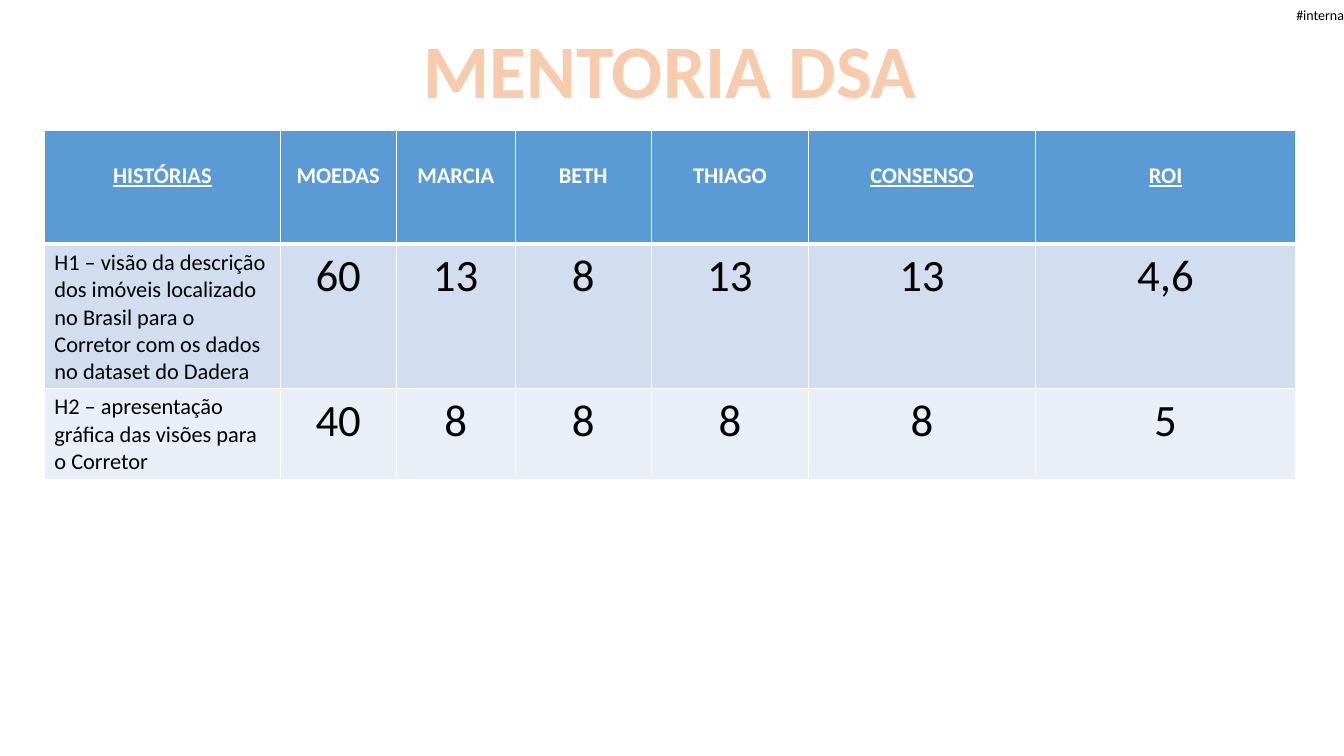
from pptx import Presentation, util as u
from pptx.dml.color import RGBColor
from pptx.enum import text
from pptx.oxml import parse_xml
from pptx.oxml.ns import nsdecls

LEFT, MID, RIGHT = text.PP_ALIGN.LEFT, text.PP_ALIGN.CENTER, text.PP_ALIGN.RIGHT


def px(n):
    return u.Emu(n * 9144)


def color(code):
    return RGBColor.from_string(code)


def line(tag, code, width):
    return parse_xml(
        f'<a:{tag} {nsdecls("a")} w="{int(u.Pt(width))}"><a:solidFill>'
        f'<a:srgbClr val="{code}"/></a:solidFill></a:{tag}>')


def form(item, **vals):
    for key, val in vals.items():
        setattr(item, key, val)


class Deck:
    font = "Calibri"
    head = "5B9BD5"
    bands = ("D2DEEF", "EAEFF7")
    rule = "FFFFFF"

    def __init__(self, wide, high):
        self.prs = Presentation()
        form(self.prs, slide_width=px(wide), slide_height=px(high))
        self.slide = self.prs.slides.add_slide(self.prs.slide_layouts[5])

    def words(self, frame, words, size, code, align, space=None, **style):
        par = frame.paragraphs[0]
        par.alignment = align
        if space:
            par.line_spacing = space
        run = par.add_run()
        run.text = words
        form(run.font, **{"name": self.font, "size": u.Pt(size),
                          "bold": False, **style})
        run.font.color.rgb = color(code)
        return run

    def title(self, box, words, size, code, edge, width):
        shape = self.slide.shapes.title
        left, top, wide, high = map(px, box)
        form(shape, left=left, top=top, width=wide, height=high)
        form(shape.text_frame, word_wrap=False,
             vertical_anchor=text.MSO_ANCHOR.TOP,
             auto_size=text.MSO_AUTO_SIZE.SHAPE_TO_FIT_TEXT)
        run = self.words(shape.text_frame, words, size, code, MID, bold=True)
        run._r.get_or_add_rPr().insert(0, line("ln", edge, width))

    def label(self, box, words, size, code, align):
        frame = self.slide.shapes.add_textbox(*map(px, box)).text_frame
        form(frame, word_wrap=True, vertical_anchor=text.MSO_ANCHOR.MIDDLE,
             margin_left=0, margin_right=0, margin_top=0, margin_bottom=0)
        self.words(frame, words, size, code, align)

    def cell(self, cell, fill, over, below):
        cell.fill.solid()
        cell.fill.fore_color.rgb = color(fill)
        props = cell._tc.get_or_add_tcPr()
        sides = {"lnL": 1, "lnR": 1, "lnT": over, "lnB": below}
        for spot, (tag, width) in enumerate(sides.items()):
            props.insert(spot, line(tag, self.rule, width))

    def table(self, left, top, cols, rows, names, under, data):
        grid = self.slide.shapes.add_table(
            len(rows), len(cols),
            *map(px, (left, top, sum(cols), sum(rows)))).table
        for col, wide in zip(grid.columns, cols):
            col.width = px(wide)
        for row, high in zip(grid.rows, rows):
            row.height = px(high)
        for c, name in enumerate(names):
            cell = grid.cell(0, c)
            self.cell(cell, self.head, 1, 3)
            self.words(cell.text_frame, name, 16, "FFFFFF", MID, 2.0,
                       bold=True, underline=name in under)
        for r, vals in enumerate(data, 1):
            for c, val in enumerate(vals):
                cell = grid.cell(r, c)
                self.cell(cell, self.bands[(r - 1) % 2], 3 if r == 1 else 1, 1)
                size, align = (32, MID) if c else (16, LEFT)
                self.words(cell.text_frame, val, size, "000000", align)


def main():
    deck = Deck(1333, 750)
    deck.label((1256, 0, 77, 29), "#interna", 10, "000000", RIGHT)
    deck.table(
        44, 129, (234, 115, 118, 135, 156, 225, 258), (113, 143, 90),
        ("HISTÓRIAS", "MOEDAS", "MARCIA", "BETH", "THIAGO", "CONSENSO", "ROI"),
        {"HISTÓRIAS", "CONSENSO", "ROI"},
        (("H1 – visão da descrição dos imóveis localizado no Brasil para o "
          "Corretor com os dados no dataset do Dadera",
          "60", "13", "8", "13", "13", "4,6"),
         ("H2 – apresentação gráfica das visões para o Corretor",
          "40", "8", "8", "8", "8", "5")))
    deck.title((408, 18, 514, 101), "MENTORIA DSA", 54, "F8CBAD",
               "ED7D31", 1.75)
    deck.prs.save("out.pptx")


if __name__ == "__main__":
    main()
